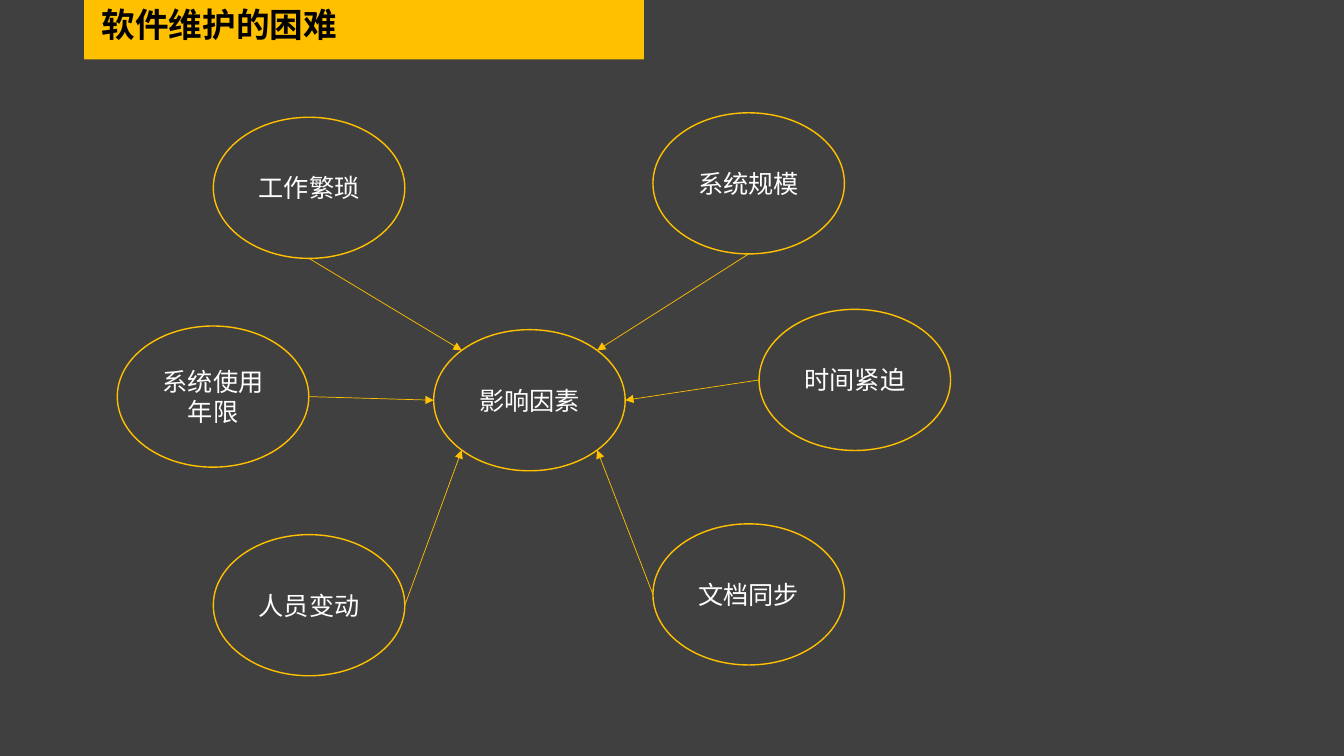
from dataclasses import dataclass
from math import cos, radians, sin

from lxml.etree import SubElement
from pptx import Presentation
from pptx.dml.color import RGBColor
from pptx.enum.shapes import MSO_CONNECTOR, MSO_SHAPE
from pptx.enum.text import MSO_ANCHOR as Anchor, PP_ALIGN as Align
from pptx.oxml.ns import qn
from pptx.slide import Slide
from pptx.text.text import TextFrame
from pptx.util import Pt

COLORS = {"background": "404040", "accent": "FFC000", "title": "000000", "label": "FFFFFF"}
FONT = "League Spartan"
OVAL_WIDTH, OVAL_HEIGHT = 136.8, 100.8


@dataclass(frozen=True)
class Oval:
    label: str
    left: float
    top: float

    def rim(self, degrees: float) -> tuple[float, float]:
        """Point on the outline, clockwise from the right-hand end."""
        angle = radians(degrees)
        return (self.left + OVAL_WIDTH / 2 * (1 + cos(angle)),
                self.top + OVAL_HEIGHT / 2 * (1 + sin(angle)))


@dataclass(frozen=True)
class Factor:
    oval: Oval
    leaves_at: float
    reaches_at: float


CENTER = Oval("影响因素", 309.8, 235.5)
FACTORS = [
    Factor(Oval("工作繁琐", 152.4, 83.8), 90, 225),
    Factor(Oval("文档同步", 466.4, 374.2), 180, 45),
    Factor(Oval("人员变动", 152.4, 381.9), 0, 135),
    Factor(Oval("时间紧迫", 542.2, 221), 180, 0),
    Factor(Oval("系统使用年限", 83.8, 232.9), 0, 180),
    Factor(Oval("系统规模", 466.4, 80.6), 90, 315),
]


def color(name: str) -> RGBColor:
    return RGBColor.from_string(COLORS[name])


def write(frame: TextFrame, text: str, *, size: float, ink: str, bold: bool = False,
          align: Align = Align.CENTER, spacing: float = 1.0) -> None:
    frame.word_wrap = True
    frame.vertical_anchor = Anchor.MIDDLE
    paragraph = frame.paragraphs[0]
    paragraph.alignment = align
    paragraph.line_spacing = spacing
    paragraph.space_before = Pt(0)
    run = paragraph.add_run()
    run.text = text
    run.font.size = Pt(size)
    run.font.bold = bold
    run.font.color.rgb = color(ink)
    run.font.name = FONT
    SubElement(run.font._element, qn("a:ea")).set("typeface", FONT)


def add_banner(slide: Slide) -> None:
    banner = slide.shapes.add_shape(MSO_SHAPE.RECTANGLE, Pt(60), Pt(0), Pt(400), Pt(42.5))
    banner.shadow.inherit = False
    banner.fill.solid()
    banner.fill.fore_color.rgb = color("accent")
    banner.line.fill.background()
    # The banner lies behind the title placeholder.
    slide.shapes.title._element.addprevious(banner._element)


def add_title(slide: Slide, text: str) -> None:
    title = slide.shapes.title
    title.left, title.top, title.width, title.height = Pt(65.5), Pt(1), Pt(270), Pt(36)
    write(title.text_frame, text, size=24, ink="title", bold=True,
          align=Align.LEFT, spacing=0.9)


def add_oval(slide: Slide, oval: Oval) -> None:
    shape = slide.shapes.add_shape(MSO_SHAPE.OVAL, Pt(oval.left), Pt(oval.top),
                                   Pt(OVAL_WIDTH), Pt(OVAL_HEIGHT))
    shape.shadow.inherit = False
    shape.fill.background()
    shape.line.color.rgb = color("accent")
    shape.line.width = Pt(1)
    write(shape.text_frame, oval.label, size=18, ink="label")


def add_arrow(slide: Slide, start: tuple[float, float], end: tuple[float, float]) -> None:
    arrow = slide.shapes.add_connector(MSO_CONNECTOR.STRAIGHT,
                                       *(Pt(length) for length in (*start, *end)))
    arrow.line.color.rgb = color("accent")
    arrow.line.width = Pt(0.5)
    SubElement(arrow.line._get_or_add_ln(), qn("a:tailEnd")).set("type", "triangle")
    SubElement(arrow._element.spPr, qn("a:effectLst"))


def main() -> None:
    deck = Presentation()
    deck.slide_width, deck.slide_height = Pt(960), Pt(540)
    slide = deck.slides.add_slide(deck.slide_layouts[5])
    slide.background.fill.solid()
    slide.background.fill.fore_color.rgb = color("background")

    add_banner(slide)
    add_title(slide, "软件维护的困难")
    for oval in [*(factor.oval for factor in FACTORS), CENTER]:
        add_oval(slide, oval)
    for factor in FACTORS:
        add_arrow(slide, factor.oval.rim(factor.leaves_at), CENTER.rim(factor.reaches_at))

    deck.save("out.pptx")


if __name__ == "__main__":
    main()
